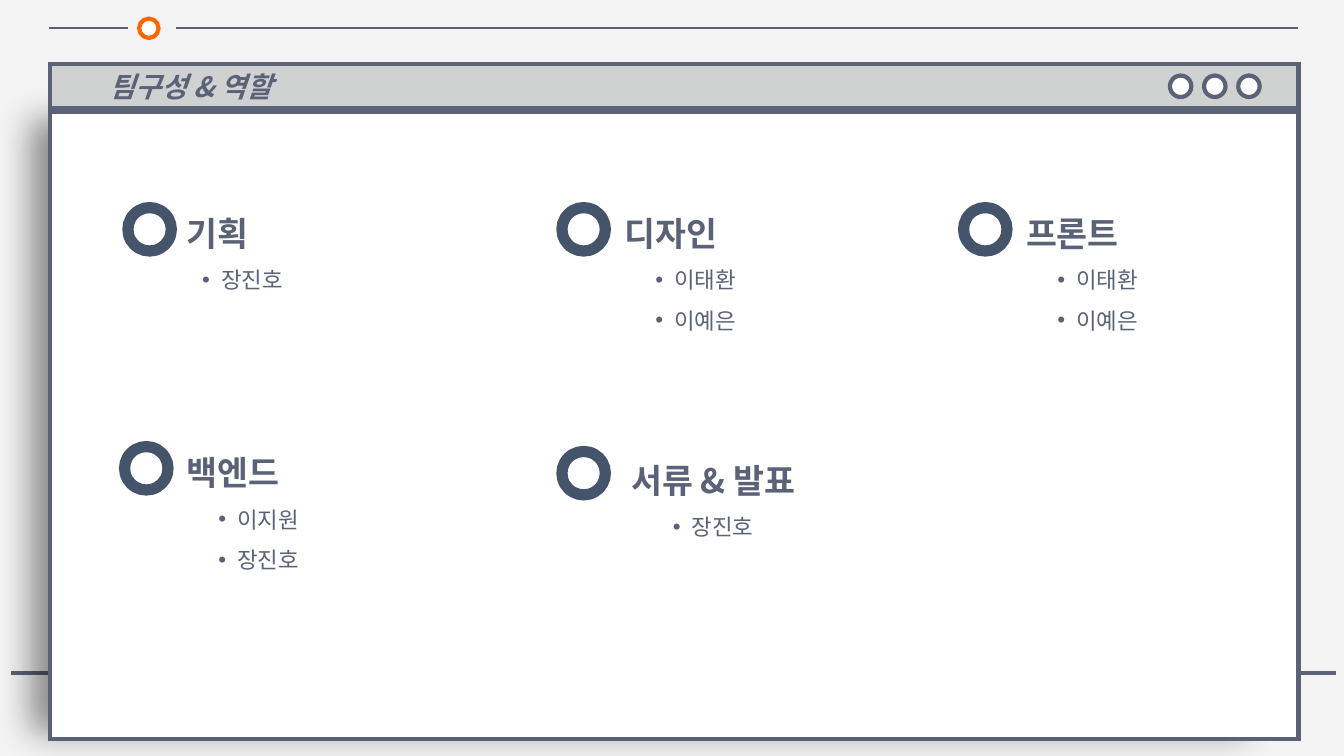
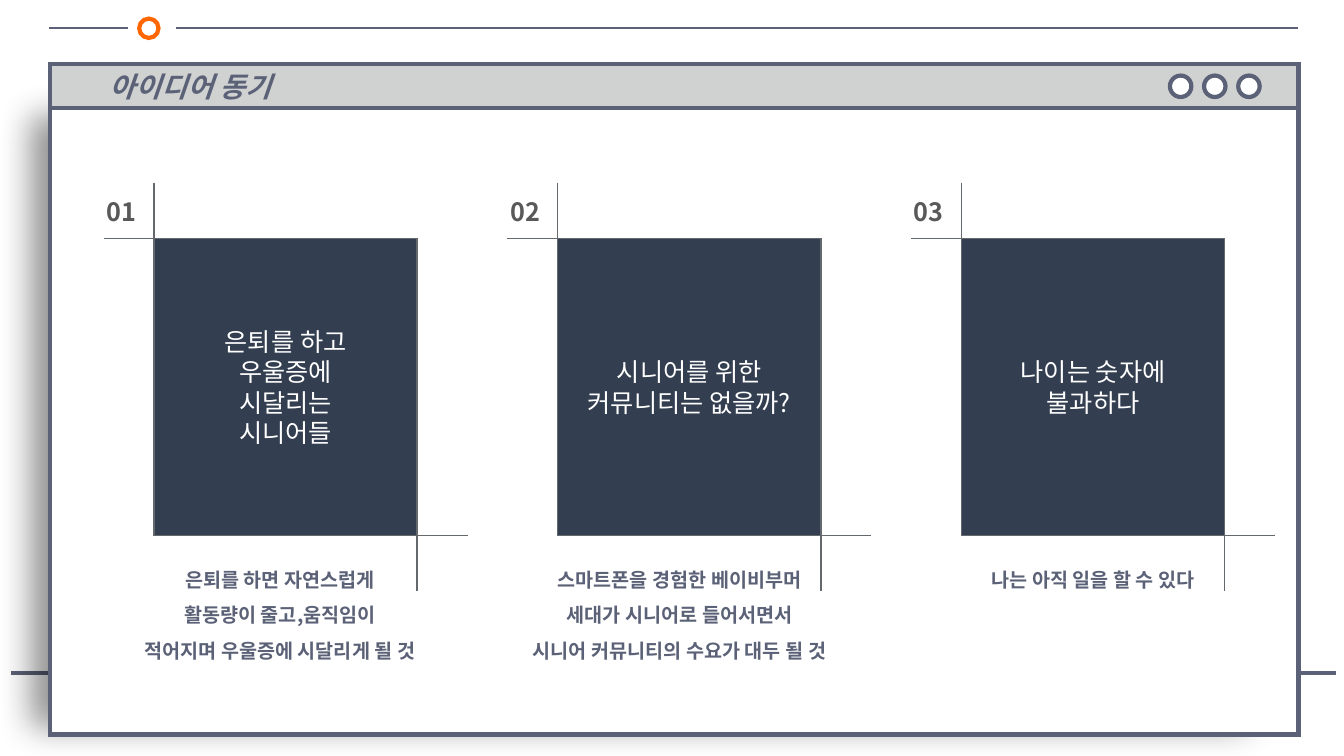
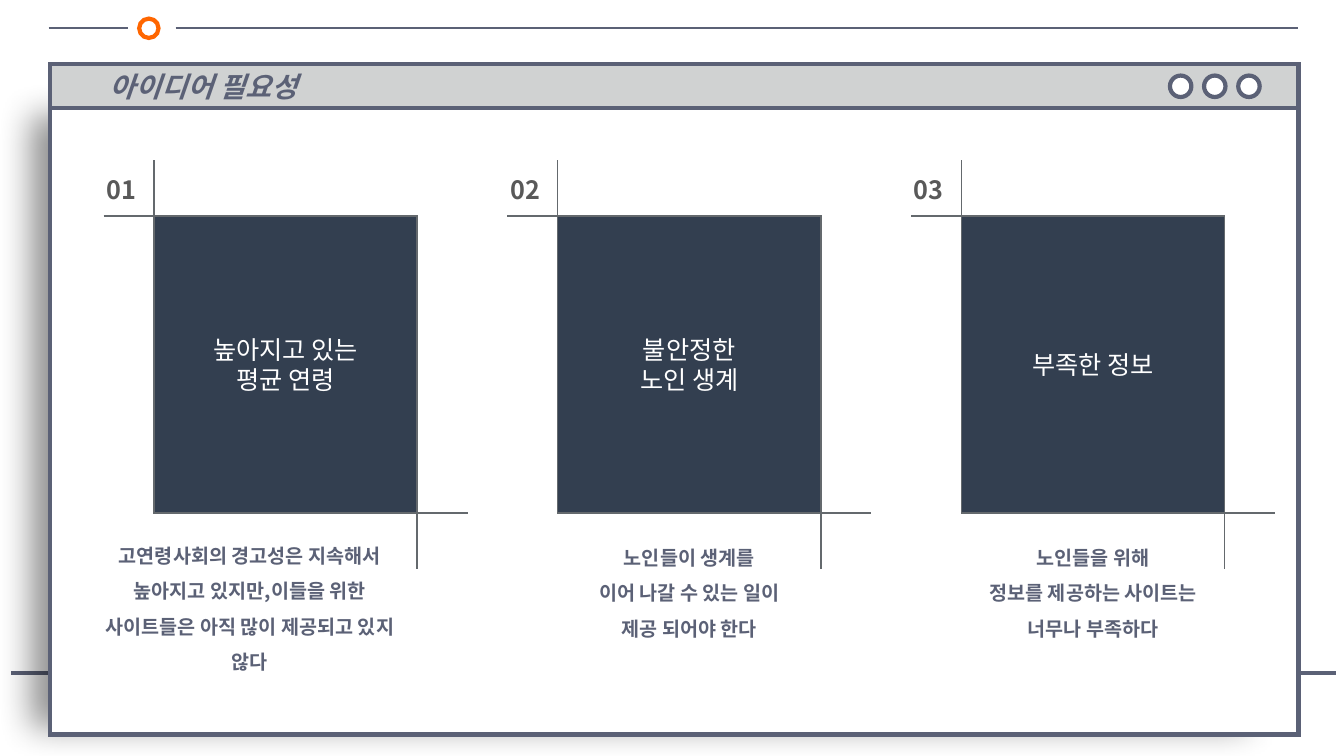
import pptx
import pptx.dml.color
import pptx.enum.shapes
import pptx.enum.text
import pptx.oxml
import pptx.oxml.ns
import pptx.util
from lxml import etree

Pt = pptx.util.Pt
RGBColor = pptx.dml.color.RGBColor
SHAPES = pptx.enum.shapes.MSO_SHAPE
ALIGN = pptx.enum.text.PP_ALIGN
qn = pptx.oxml.ns.qn

FONT = "Noto Sans CJK KR"
SLATE = RGBColor(0x5B, 0x61, 0x76)
BAR_GREY = RGBColor(0xD0, 0xD2, 0xD2)
PALE_GREY = RGBColor(0xF3, 0xF3, 0xF3)
WHITE = RGBColor(0xFF, 0xFF, 0xFF)
ORANGE = RGBColor(0xFF, 0x66, 0x00)
RING_BLUE = RGBColor(0x44, 0x54, 0x6A)
CARD_NAVY = RGBColor(0x33, 0x3F, 0x50)
FRAME_GREY = RGBColor(0x64, 0x69, 0x6D)
NUMBER_GREY = RGBColor(0x59, 0x59, 0x59)

WINDOW_LEFT, WINDOW_WIDTH = 35.5, 892
BAR_TOP, BAR_HEIGHT = 45.7, 31.5
BODY_TOP, BODY_HEIGHT = 76.7, 448
TIMELINE_Y = 20.2
CARD_LEFT, CARD_PITCH = 110, 288.4
CARD_WIDTH, CARD_HEIGHT = 188, 212.3
TICK_X, TICK_Y = 36, 39.8

SHADOW = (
    '<a:effectLst xmlns:a="http://schemas.openxmlformats.org/drawingml/2006/main">'
    '<a:outerShdw blurRad="304800" dist="317500" dir="10800000" sx="97000" sy="97000"'
    ' algn="ctr" rotWithShape="0"><a:srgbClr val="000000"><a:alpha val="43000"/>'
    '</a:srgbClr></a:outerShdw></a:effectLst>'
)


def add_line(slide, x1, y1, x2, y2, color, weight):
    line = slide.shapes.add_connector(
        pptx.enum.shapes.MSO_CONNECTOR.STRAIGHT, Pt(x1), Pt(y1), Pt(x2), Pt(y2))
    line.line.color.rgb = color
    line.line.width = Pt(weight)
    etree.SubElement(line._element.spPr, qn("a:effectLst"))


def add_box(slide, kind, left, top, width, height, fill, outline, weight):
    """Add a shape with sharp outline corners and no shadow."""
    box = slide.shapes.add_shape(kind, Pt(left), Pt(top), Pt(width), Pt(height))
    box.shadow.inherit = False
    if fill is None:
        box.fill.background()
    else:
        box.fill.solid()
        box.fill.fore_color.rgb = fill
    box.line.color.rgb = outline
    box.line.width = Pt(weight)
    outline_element = box._element.spPr.find(qn("a:ln"))
    etree.SubElement(outline_element, qn("a:miter"), {"lim": "800000"})
    return box


def add_circle(slide, left, top, size, fill, outline, weight):
    add_box(slide, SHAPES.OVAL, left, top, size, size, fill, outline, weight)


def add_text_box(slide, left, top, width, height):
    frame = slide.shapes.add_textbox(Pt(left), Pt(top), Pt(width), Pt(height)).text_frame
    frame.word_wrap = True
    frame.auto_size = pptx.enum.text.MSO_AUTO_SIZE.SHAPE_TO_FIT_TEXT
    return frame


def write_lines(frame, lines, size, color, bold=False, italic=False,
                align=ALIGN.CENTER, spacing=None):
    """Append one paragraph per line, filling the empty first one; return them."""
    paragraphs = []
    for line in lines:
        first = frame.paragraphs[0]
        paragraph = frame.add_paragraph() if first.runs else first
        paragraph.add_run().text = line
        paragraph.alignment = align
        if spacing:
            paragraph.line_spacing = spacing
        font = paragraph.font
        font.name, font.size, font.bold, font.italic = FONT, Pt(size), bold, italic
        font.color.rgb = color
        defaults = paragraph._p.pPr.find(qn("a:defRPr"))
        defaults.find(qn("a:latin")).addnext(
            defaults.makeelement(qn("a:ea"), {"typeface": FONT}))
        paragraphs.append(paragraph)
    return paragraphs


def set_indent(paragraph, margin, hanging=0, bullet=None):
    properties = paragraph._p.get_or_add_pPr()
    properties.set("marL", str(Pt(margin)))
    properties.set("indent", str(Pt(-hanging)))
    if bullet:
        mark = properties.makeelement(qn("a:buChar"), {"char": bullet})
        typeface = properties.makeelement(qn("a:buFont"), {"typeface": "Arial"})
        defaults = properties.find(qn("a:defRPr"))
        defaults.addprevious(typeface)
        defaults.addprevious(mark)


def add_window_slide(deck, title, background=WHITE, body_top=BODY_TOP):
    """Add a slide with the timeline and the browser-like window."""
    slide = deck.slides.add_slide(deck.slide_layouts[6])
    slide.background.fill.solid()
    slide.background.fill.fore_color.rgb = background

    add_line(slide, 34.8, TIMELINE_Y, 91.4, TIMELINE_Y, SLATE, 1.75)
    add_line(slide, 8, 481, 954.5, 481, SLATE, 3)
    body = add_box(slide, SHAPES.RECTANGLE, WINDOW_LEFT, body_top,
                   WINDOW_WIDTH, BODY_HEIGHT, WHITE, SLATE, 3)
    properties = body._element.spPr
    properties.replace(properties.find(qn("a:effectLst")), pptx.oxml.parse_xml(SHADOW))

    bar = add_box(slide, SHAPES.RECTANGLE, WINDOW_LEFT, BAR_TOP,
                  WINDOW_WIDTH, BAR_HEIGHT, BAR_GREY, SLATE, 3)
    heading, = write_lines(bar.text_frame, [title], 20, SLATE, bold=True, italic=True,
                           align=ALIGN.LEFT)
    set_indent(heading, 36)
    for button in range(3):
        add_circle(slide, 835.7 + 24.4 * button, 54, 15.3, WHITE, SLATE, 3)
    add_circle(slide, 99.4, TIMELINE_Y - 6.9, 13.8, WHITE, ORANGE, 3)
    add_line(slide, 125.5, TIMELINE_Y, 927, TIMELINE_Y, SLATE, 1.75)
    return slide


def add_team(slide, role, members, left, top, ring_left, ring_top, width=188, margin=49.5):
    frame = add_text_box(slide, left, top, width, 47.5 + 28.8 * len(members))
    write_lines(frame, [role], 24, SLATE, bold=True, spacing=1.5)
    for member in write_lines(frame, members, 16, SLATE, spacing=1.5):
        set_indent(member, margin, 13.5, "•")
    add_circle(slide, ring_left, ring_top, 31, None, RING_BLUE, 8)


def add_card(slide, index, top, message, caption, caption_left, caption_top, caption_width):
    left = CARD_LEFT + CARD_PITCH * index
    right, bottom = left + CARD_WIDTH, top + CARD_HEIGHT
    card = add_box(slide, SHAPES.RECTANGLE, left, top, CARD_WIDTH, CARD_HEIGHT,
                   CARD_NAVY, FRAME_GREY, 1)
    write_lines(card.text_frame, message, 18, WHITE)
    for x1, y1, x2, y2 in (
        (left, top - TICK_Y, left, bottom),
        (right, top, right, bottom + TICK_Y),
        (left, bottom, right + TICK_X, bottom),
        (left - TICK_X, top, right, top),
    ):
        add_line(slide, x1, y1, x2, y2, FRAME_GREY, 1)

    number = add_text_box(slide, left - 41, top - 44, 35.3, 36)
    number.margin_left = number.margin_right = Pt(0)
    write_lines(number, [f"{index + 1:02}"], 18, NUMBER_GREY, bold=True, spacing=1.5)
    note = add_text_box(slide, caption_left, caption_top, caption_width, 80.6)
    write_lines(note, caption, 14, SLATE, bold=True, spacing=1.5)


def add_cards_slide(deck, title, top, cards):
    slide = add_window_slide(deck, title)
    for index, card in enumerate(cards):
        add_card(slide, index, top, *card)


def main():
    deck = pptx.Presentation()
    deck.slide_width, deck.slide_height = Pt(960), Pt(540)

    teams = add_window_slide(deck, "팀구성 & 역할", PALE_GREY, body_top=79.9)
    add_team(teams, "기획", ["장진호"], 61.2, 134, 91.4, 148.3)
    add_team(teams, "디자인", ["이태환", "이예은"], 385, 134, 401.4, 148.3)
    add_team(teams, "프론트", ["이태환", "이예은"], 672, 134, 688.3, 148.3)
    add_team(teams, "백엔드", ["이지원", "장진호"], 72.7, 305, 89, 319)
    add_team(teams, "서류 & 발표", ["장진호"], 404.5, 310.5, 401.4, 322.5,
             width=210, margin=13.5)

    add_cards_slide(deck, "아이디어 동기", 170.2, [
        (["은퇴를 하고", "우울증에", "시달리는", "시니어들"],
         ["은퇴를 하면 자연스럽게", "활동량이 줄고,움직임이",
          "적어지며 우울증에 시달리게 될 것"], 85, 393.8, 230),
        (["시니어를 위한", "커뮤니티는 없을까?"],
         ["스마트폰을 경험한 베이비부머", "세대가 시니어로 들어서면서",
          "시니어 커뮤니티의 수요가 대두 될 것"], 352.5, 393.8, 266),
        (["나이는 숫자에", "불과하다"],
         ["나는 아직 일을 할 수 있다"], 686.9, 393.8, 188),
    ])

    add_cards_slide(deck, "아이디어 필요성", 154.2, [
        (["높아지고 있는", "평균 연령"],
         ["고연령사회의 경고성은 지속해서",
          "높아지고 있지만,이들을 위한 사이트들은 아직 많이 제공되고 있지 않다"],
         55.4, 376.6, 246.2),
        (["불안정한", "노인 생계"],
         ["노인들이 생계를", "이어 나갈 수 있는 일이", "제공 되어야 한다"],
         398.5, 378, 188),
        (["부족한 정보"],
         ["노인들을 위해", "정보를 제공하는 사이트는 너무나 부족하다"],
         686.9, 378, 188),
    ])

    deck.save("out.pptx")


if __name__ == "__main__":
    main()
